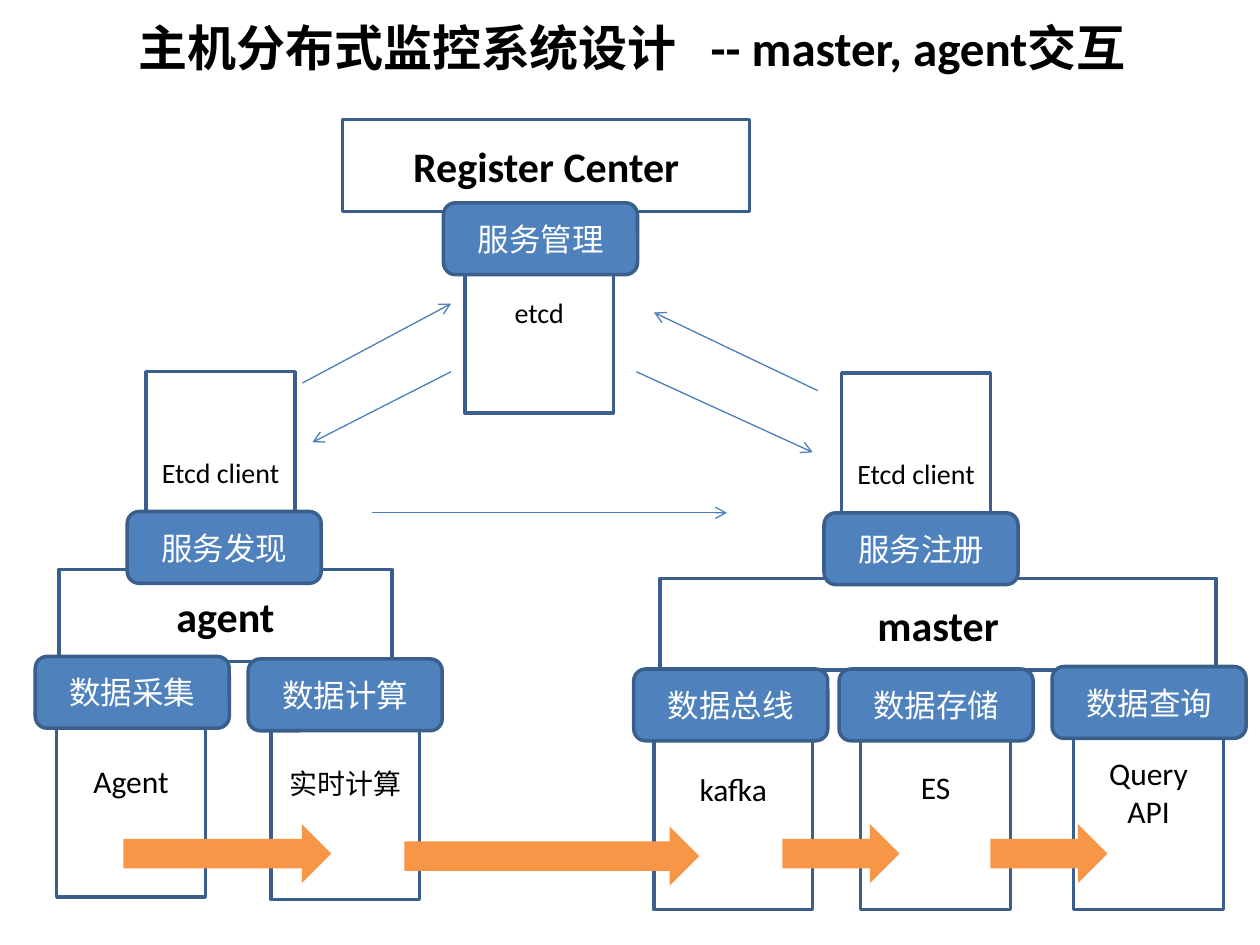
import collections
import dataclasses

import lxml.etree
import pptx
import pptx.dml.color
import pptx.enum.dml
import pptx.enum.shapes
import pptx.enum.text
import pptx.oxml.ns
import pptx.util

PX = 9144  # EMU in one px, at 100 px to the inch
SHAPE = pptx.enum.shapes.MSO_SHAPE
ALIGN = pptx.enum.text.PP_ALIGN
ANCHOR = pptx.enum.text.MSO_ANCHOR


@dataclasses.dataclass(frozen=True)
class Theme:
    font: str = "Calibri"
    ink: str = "000000"
    paper: str = "FFFFFF"
    chip: str = "4F81BD"
    edge: str = "3A5F8C"
    link: str = "4B7EBC"
    flow: str = "F79646"
    title: int = 28
    head: int = 24
    body: int = 18
    small: int = 16
    border: float = 2
    thin: float = 0.75


THEME = Theme()


class Box(collections.namedtuple("Box", "x y w h")):
    def inner(self, x, y, w, h):
        """Return a box whose corner is counted from this one."""
        return Box(self.x + x, self.y + y, w, h)

    def emu(self):
        return [n * PX for n in self]


def color(code):
    return pptx.dml.color.RGBColor.from_string(code)


def write(frame, text, size=THEME.body, ink=THEME.ink, bold=False,
          align=ALIGN.CENTER, anchor=ANCHOR.MIDDLE, tab=None):
    frame.word_wrap = True
    frame.auto_size = pptx.enum.text.MSO_AUTO_SIZE.NONE
    frame.vertical_anchor = anchor
    for i, line in enumerate(text.split("\n")):
        para = frame.add_paragraph() if i else frame.paragraphs[0]
        para.alignment = align
        if tab:
            tabs = lxml.etree.SubElement(
                para._p.get_or_add_pPr(), pptx.oxml.ns.qn("a:tabLst"))
            lxml.etree.SubElement(
                tabs, pptx.oxml.ns.qn("a:tab"), pos=str(tab * PX), algn="l")
        run = para.add_run()
        run.text = line
        run.font.name = THEME.font
        run.font.size = pptx.util.Pt(size)
        run.font.bold = bold
        run.font.color.rgb = color(ink)


def draw(slide, kind, box, fill, edge=None):
    shape = slide.shapes.add_shape(kind, *box.emu())
    shape.shadow.inherit = False
    shape.fill.solid()
    shape.fill.fore_color.rgb = color(fill)
    if edge:
        shape.line.color.rgb = color(edge)
        shape.line.width = pptx.util.Pt(THEME.border)
    else:
        shape.line.fill.background()
    return shape


def panel(slide, box, text, **form):
    shape = draw(slide, SHAPE.RECTANGLE, box, THEME.paper, THEME.edge)
    write(shape.text_frame, text, **form)


def chip(slide, box, text):
    shape = draw(slide, SHAPE.ROUNDED_RECTANGLE, box, THEME.chip, THEME.edge)
    write(shape.text_frame, text, ink=THEME.paper)


def group(slide, box, name, bar, cards, chips):
    """Stack the cards, then the named bar, then the chips that join them."""
    for text, size, place in cards:
        panel(slide, box.inner(*place), text, size=size)
    panel(slide, box.inner(*bar), name, size=THEME.head, bold=True)
    for text, x, y in chips:
        chip(slide, box.inner(x, y, 154, 57), text)


def heading(slide, box):
    title = slide.shapes.title
    title.left, title.top, title.width, title.height = box.emu()
    write(title.text_frame, "主机分布式监控系统设计\t-- master, agent交互",
          size=THEME.title, bold=True, align=ALIGN.LEFT,
          anchor=ANCHOR.TOP, tab=454)


def center(slide, box):
    group(slide, box, "Register Center", (0, 0, box.w, 73),
          [("etcd", THEME.small, (97, 73, 118, 160))],
          [("服务管理", 80, 66)])


def agent(slide, box):
    group(slide, box, "agent", (19, 157, 264, 73),
          [("Etcd client", THEME.small, (88, 0, 118, 160)),
           ("Agent", THEME.body, (17, 233, 118, 184)),
           ("实时计算", THEME.small, (187, 235, 118, 184))],
          [("服务发现", 73, 111), ("数据采集", 0, 226), ("数据计算", 169, 228)])


def master(slide, box):
    group(slide, box, "master", (21, 163, 441, 73),
          [("Etcd client", THEME.small, (165, 0, 118, 160)),
           ("kafka", THEME.body, (16, 235, 126, 191)),
           ("ES", THEME.body, (180, 231, 119, 195)),
           ("Query\nAPI", THEME.body, (349, 239, 119, 187))],
          [("服务注册", 151, 111), ("数据总线", 0, 235),
           ("数据存储", 163, 235), ("数据查询", 332, 233)])


def flows(slide, box):
    for x, y, w in [(0, 0, 165), (223, 2, 234), (523, 0, 93), (688, 0, 93)]:
        draw(slide, SHAPE.RIGHT_ARROW, box.inner(x, y, w, 47), THEME.flow)


def links(slide, box):
    ends = [(409, 69, 279, 7), (265, 54, 405, 118), (0, 63, 118, 0),
            (118, 54, 8, 110), (55, 166, 337, 166)]
    for x1, y1, x2, y2 in ends:
        start = Box(box.x + x1, box.y + y1, box.x + x2, box.y + y2)
        line = slide.shapes.add_connector(
            pptx.enum.shapes.MSO_CONNECTOR.STRAIGHT, *start.emu())
        line.line.color.rgb = color(THEME.link)
        line.line.width = pptx.util.Pt(THEME.thin)
        lxml.etree.SubElement(line.line._get_or_add_ln(),
                              pptx.oxml.ns.qn("a:tailEnd"), type="arrow")
        lxml.etree.SubElement(line._element.spPr,
                              pptx.oxml.ns.qn("a:effectLst"))


def main():
    deck = pptx.Presentation()
    deck.slide_width, deck.slide_height = 1000 * PX, 750 * PX
    slide = deck.slides.add_slide(deck.slide_layouts[5])
    master(slide, Box(503, 296, 486, 426))
    agent(slide, Box(28, 295, 323, 419))
    center(slide, Box(272, 95, 323, 233))
    flows(slide, Box(98, 654, 781, 49))
    links(slide, Box(240, 241, 405, 166))
    heading(slide, Box(100, 9, 811, 57))
    deck.save("out.pptx")


if __name__ == "__main__":
    main()
